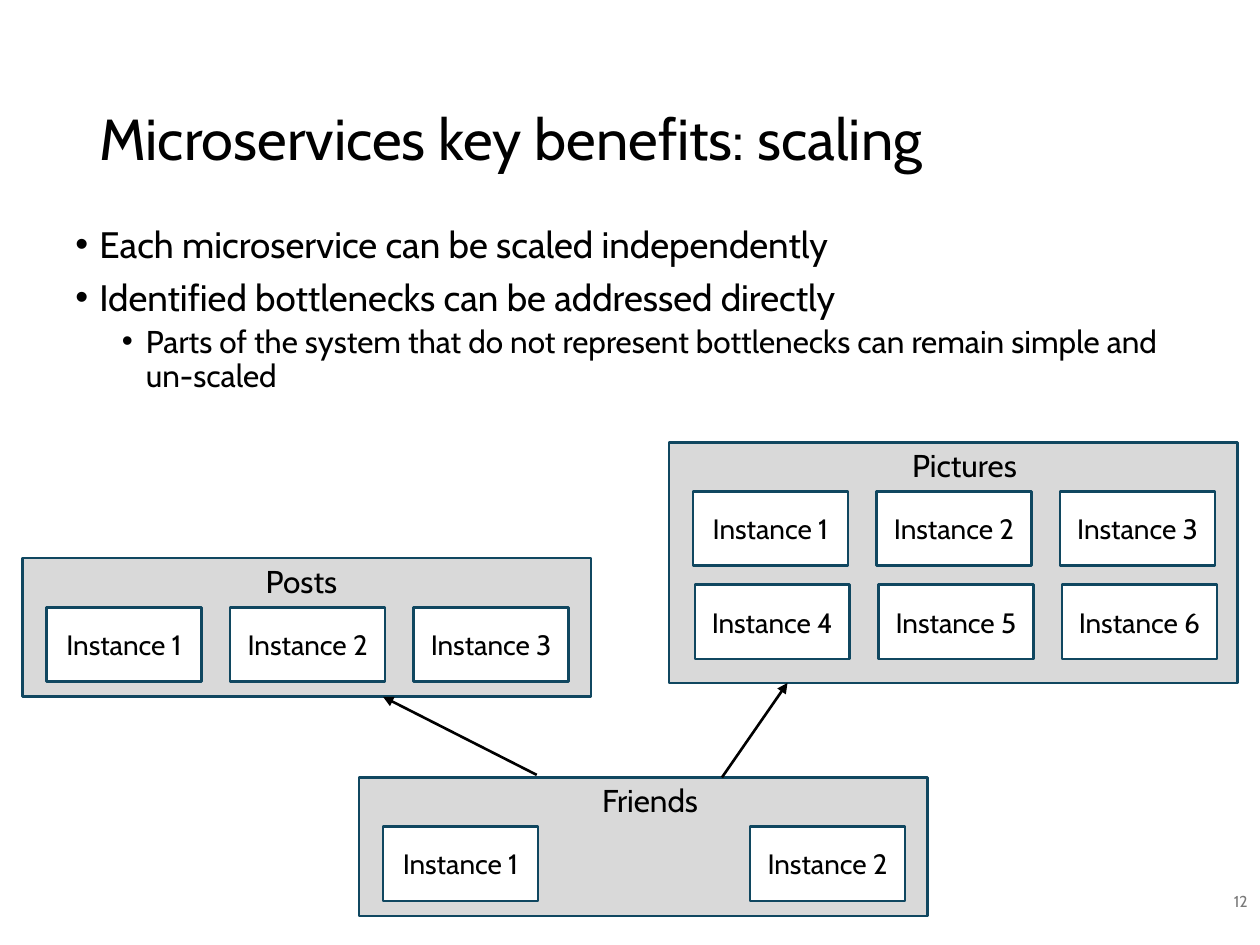
from lxml.etree import SubElement
from pptx import Presentation
from pptx.dml.color import RGBColor
from pptx.enum.shapes import MSO_CONNECTOR as Connector, MSO_SHAPE as Shape
from pptx.enum.text import MSO_ANCHOR as Anchor, PP_ALIGN as Align
from pptx.oxml.ns import qn
from pptx.util import Inches, Pt

BLACK = RGBColor(0x00, 0x00, 0x00)
WHITE = RGBColor(0xFF, 0xFF, 0xFF)
PANEL_GRAY = RGBColor(0xD9, 0xD9, 0xD9)
NUMBER_GRAY = RGBColor(0x79, 0x79, 0x79)
BORDER_TEAL = RGBColor(0x10, 0x47, 0x60)
FONT = "Cabin"

SLIDE_WIDTH, SLIDE_HEIGHT = Inches(10), Inches(7.5)
COLUMNS, ROWS = 100, 75
INSTANCE_SIZE = (12.3, 5.9)
INSTANCE_ORIGIN = (1.9, 3.9)
INSTANCE_PITCH = (14.57, 7.4)
ROW_SHIFT = 0.15
SLOTS_PER_ROW = 3

BULLETS = [
    (0, "Each microservice can be scaled independently"),
    (0, "Identified bottlenecks can be addressed directly"),
    (1, "Parts of the system that do not represent bottlenecks can remain simple and un-scaled"),
]
LEVELS = [(0.19, 7.5, 21), (0.56, 3.8, 18)]
SERVICES = [
    ("Posts", (1.8, 44.3, 45.1, 11), 8.3, (0, 1, 2)),
    ("Friends", (28.5, 61.7, 45.1, 11), 10.4, (0, 2)),
    ("Pictures", (53.1, 35.1, 45.1, 19.1), 11.1, range(6)),
]
CALLS = [((42.6, 61.5), (30.4, 55.3)), ((57.3, 61.7), (62.5, 54.2))]


def across(columns):
    """Turn grid columns into a length."""
    return round(SLIDE_WIDTH * columns / COLUMNS)


def down(rows):
    """Turn grid rows into a length."""
    return round(SLIDE_HEIGHT * rows / ROWS)


def place(box):
    """Turn a grid box into left, top, width and height."""
    left, top, width, height = box
    return across(left), down(top), across(width), down(height)


def add_span(para, text, size, color=BLACK):
    """Add one run of text to a paragraph."""
    span = para.add_run()
    span.text = text
    span.font.name = FONT
    span.font.size = Pt(size)
    span.font.color.rgb = color


def add_text(page, box, text, size, color=BLACK, anchor=Anchor.TOP, align=Align.LEFT, wrap=True):
    """Add a single-paragraph text box."""
    frame = page.shapes.add_textbox(*place(box)).text_frame
    frame.word_wrap = wrap
    frame.vertical_anchor = anchor
    para = frame.paragraphs[0]
    para.alignment = align
    add_span(para, text, size, color)
    return para


def add_rectangle(page, box, fill):
    """Add a bordered rectangle."""
    rectangle = page.shapes.add_shape(Shape.RECTANGLE, *place(box))
    rectangle.shadow.inherit = False
    rectangle.fill.solid()
    rectangle.fill.fore_color.rgb = fill
    rectangle.line.color.rgb = BORDER_TEAL
    rectangle.line.width = Pt(1.5)
    return rectangle


def add_bullets(page, box):
    """Add the bulleted list of benefits."""
    frame = page.shapes.add_textbox(*place(box)).text_frame
    frame.word_wrap = True
    for index, (level, text) in enumerate(BULLETS):
        indent, space, size = LEVELS[level]
        para = frame.add_paragraph() if index else frame.paragraphs[0]
        para.level = level
        para.line_spacing = 0.9
        para.space_before = Pt(space if index else 0)
        properties = para._p.get_or_add_pPr()
        properties.set("marL", str(Inches(indent)))
        properties.set("indent", str(Inches(-0.19)))
        SubElement(properties, qn("a:buFont"), typeface="Arial")
        SubElement(properties, qn("a:buChar"), char="•")
        add_span(para, text, size)


def add_instance(page, box, number):
    """Add one numbered service instance."""
    frame = add_rectangle(page, box, WHITE).text_frame
    frame.word_wrap = True
    frame.vertical_anchor = Anchor.MIDDLE
    para = frame.paragraphs[0]
    para.alignment = Align.CENTER
    add_span(para, f"Instance {number}", 16)


def add_service(page, box, name, label_width, slots):
    """Add a service panel with its instances on a three-column grid."""
    left, top = box[:2]
    add_rectangle(page, box, PANEL_GRAY)
    add_text(page, (left + 18.3, top - 0.2, label_width, 4), name, 18, wrap=False)
    for number, slot in enumerate(slots, start=1):
        row, column = divmod(slot, SLOTS_PER_ROW)
        x = left + INSTANCE_ORIGIN[0] + column * INSTANCE_PITCH[0] + row * ROW_SHIFT
        y = top + INSTANCE_ORIGIN[1] + row * INSTANCE_PITCH[1]
        add_instance(page, (x, y, *INSTANCE_SIZE), number)


def add_call(page, start, end):
    """Add an arrow between two grid points."""
    arrow = page.shapes.add_connector(
        Connector.STRAIGHT, across(start[0]), down(start[1]), across(end[0]), down(end[1])
    )
    arrow.line.color.rgb = BLACK
    arrow.line.width = Pt(1.5)
    SubElement(arrow.line._get_or_add_ln(), qn("a:tailEnd"), type="triangle")
    SubElement(arrow._element.spPr, qn("a:effectLst"))


def main():
    """Build and save the slide."""
    deck = Presentation()
    deck.slide_width, deck.slide_height = SLIDE_WIDTH, SLIDE_HEIGHT
    page = deck.slides.add_slide(deck.slide_layouts[6])
    title = add_text(page, (6.9, 4, 86.2, 14.5), "Microservices key benefits: scaling", 33, anchor=Anchor.MIDDLE)
    title.line_spacing = 0.9
    add_bullets(page, (5, 17.5, 90, 17.6))
    add_text(page, (77.5, 69.5, 22.5, 4), "12", 9, NUMBER_GRAY, Anchor.MIDDLE, Align.RIGHT)
    for name, box, label_width, slots in SERVICES:
        add_service(page, box, name, label_width, slots)
    for start, end in CALLS:
        add_call(page, start, end)
    deck.save("out.pptx")


if __name__ == "__main__":
    main()
